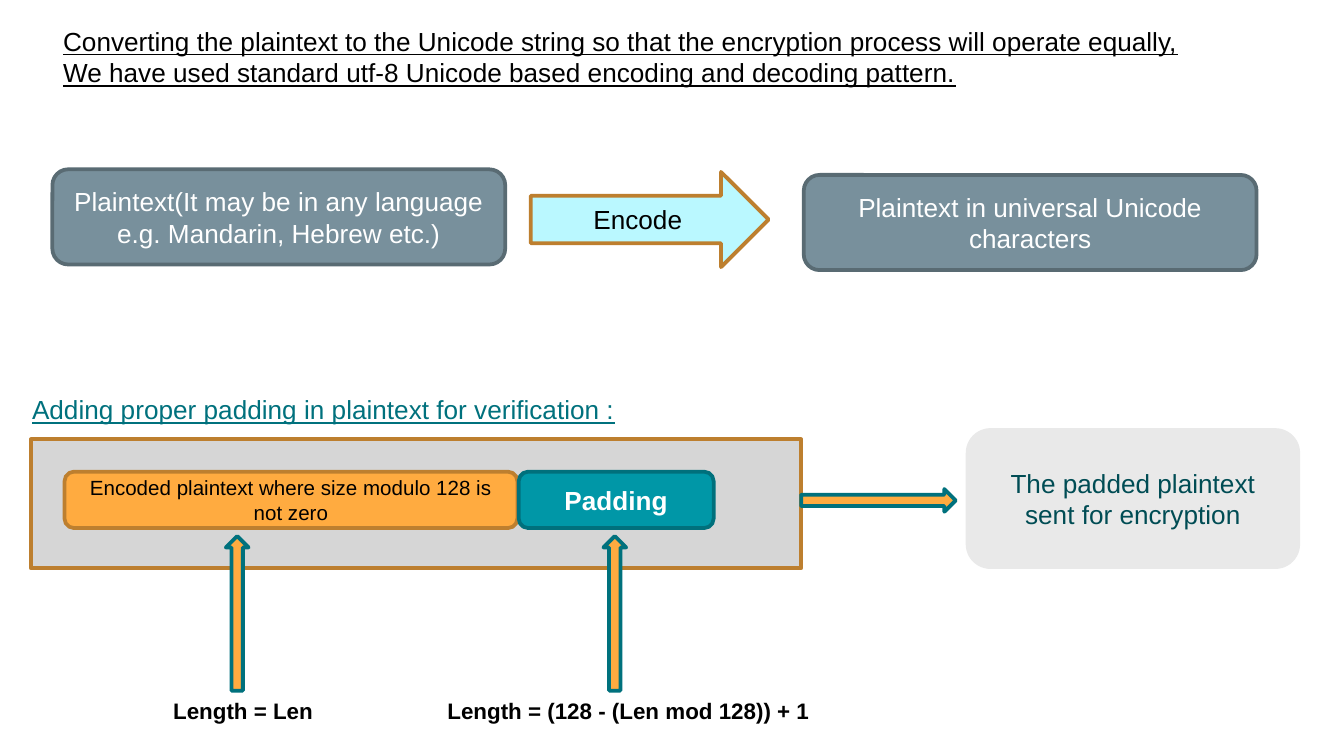
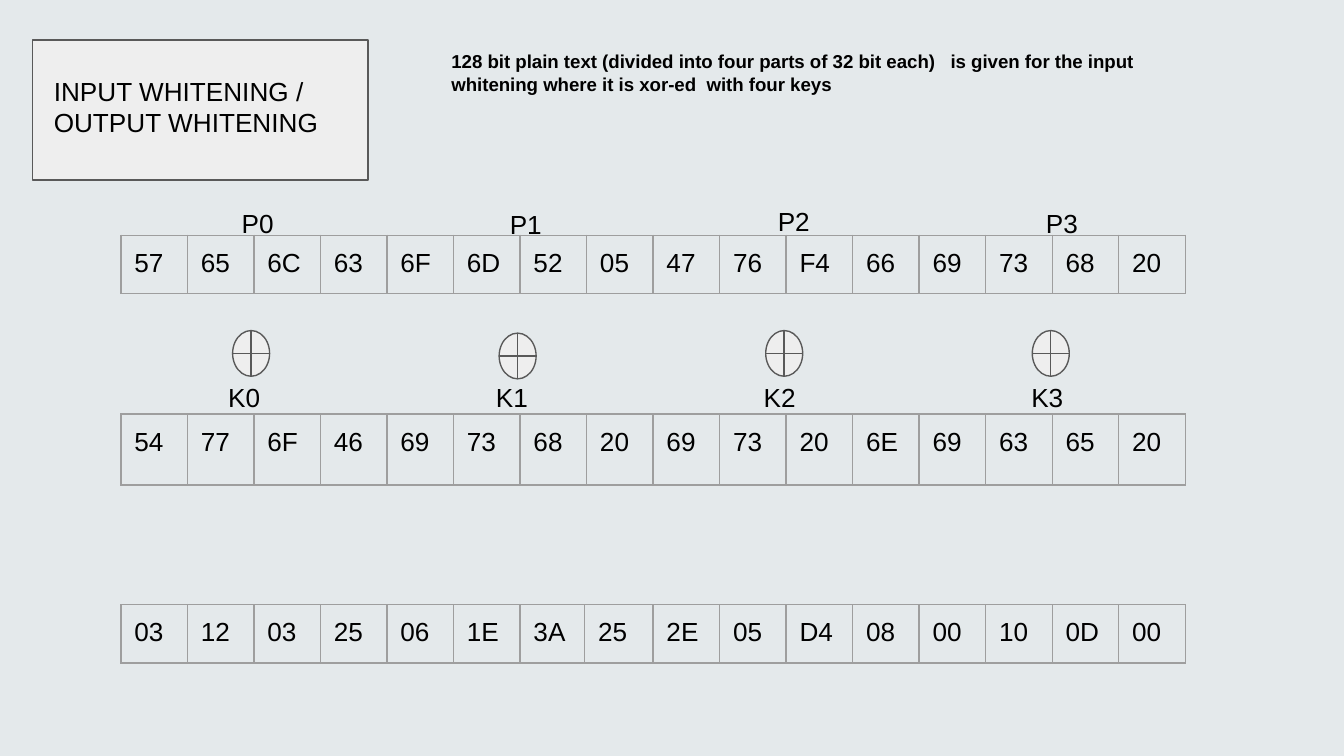
import pptx
import pptx.util
import pptx.dml.color
import pptx.enum.shapes
import pptx.enum.text
import pptx.oxml
import pptx.oxml.ns

Pt = pptx.util.Pt
RGB = pptx.dml.color.RGBColor
SHAPE = pptx.enum.shapes.MSO_SHAPE
ALIGN = pptx.enum.text.PP_ALIGN
ANCHOR = pptx.enum.text.MSO_ANCHOR

FONT = "Arial"
BLACK = RGB(0x00, 0x00, 0x00)
WHITE = RGB(0xFF, 0xFF, 0xFF)
MIST = RGB(0xE4, 0xE9, 0xEB)
PALE_GRAY = RGB(0xEE, 0xEE, 0xEE)
LIGHT_GRAY = RGB(0xE9, 0xE9, 0xE9)
SILVER = RGB(0xD6, 0xD6, 0xD6)
DARK_GRAY = RGB(0x59, 0x59, 0x59)
GRID_GRAY = RGB(0x9E, 0x9E, 0x9E)
SLATE = RGB(0x78, 0x90, 0x9C)
DARK_SLATE = RGB(0x59, 0x6B, 0x73)
ORANGE = RGB(0xFF, 0xAB, 0x40)
BROWN = RGB(0xBD, 0x7F, 0x2F)
ICE = RGB(0xBA, 0xF8, 0xFF)
TEAL = RGB(0x00, 0x97, 0xA7)
TEAL_EDGE = RGB(0x00, 0x70, 0x7C)
DEEP_TEAL = RGB(0x00, 0x71, 0x7D)
TEAL_INK = RGB(0x00, 0x4C, 0x54)

PLAIN_BYTES = "57 65 6C 63 6F 6D 52 05 47 76 F4 66 69 73 68 20".split()
KEY_BYTES = "54 77 6F 46 69 73 68 20 69 73 20 6E 69 63 65 20".split()
RESULT_BYTES = "03 12 03 25 06 1E 3A 25 2E 05 D4 08 00 10 0D 00".split()


def write(frame, lines, size=14, color=BLACK, bold=False, underline=False,
          align=ALIGN.LEFT, anchor=ANCHOR.TOP):
    """Fill a text frame with lines and format every run alike."""
    frame.text = "\n".join(lines)
    frame.word_wrap = True
    frame.vertical_anchor = anchor
    for paragraph in frame.paragraphs:
        paragraph.alignment = align
        for run in paragraph.runs:
            run.font.name = FONT
            run.font.size = Pt(size)
            run.font.bold = bold
            run.font.underline = underline
            run.font.color.rgb = color


def set_insets(frame, inset):
    """Give a text frame the same inset on all sides."""
    frame.margin_left = frame.margin_right = Pt(inset)
    frame.margin_top = frame.margin_bottom = Pt(inset)


def add_label(slide, box, text, inset=None, **style):
    """Place a text box in the given box."""
    frame = slide.shapes.add_textbox(*map(Pt, box)).text_frame
    write(frame, [text], **style)
    if inset is not None:
        set_insets(frame, inset)


def add_block(slide, kind, box, fill, edge, weight=2, text=None, **style):
    """Place a filled, outlined shape with optional centred text."""
    block = slide.shapes.add_shape(kind, *map(Pt, box))
    block.shadow.inherit = False
    block.fill.solid()
    block.fill.fore_color.rgb = fill
    block.line.color.rgb = edge
    block.line.width = Pt(weight)
    if text:
        write(block.text_frame, [text], align=ALIGN.CENTER,
              anchor=ANCHOR.MIDDLE, **style)
    return block


def add_slide(deck, background, title_box, title_lines, **style):
    """Add a slide with a background colour and a placed title."""
    slide = deck.slides.add_slide(deck.slide_layouts[5])
    slide.background.fill.solid()
    slide.background.fill.fore_color.rgb = background
    title = slide.shapes.title
    title.left, title.top, title.width, title.height = map(Pt, title_box)
    write(title.text_frame, title_lines, **style)
    title.text_frame.auto_size = pptx.enum.text.MSO_AUTO_SIZE.NONE
    return slide


def add_encoding(slide, left, top):
    """Draw the plaintext, encode arrow and Unicode row."""
    add_block(slide, SHAPE.ROUNDED_RECTANGLE, (left, top, 242.6, 51), SLATE, DARK_SLATE,
              text="Plaintext(It may be in any language e.g. Mandarin, Hebrew etc.)",
              color=WHITE)
    add_block(slide, SHAPE.RIGHT_ARROW, (left + 256.3, top + 1.4, 127.4, 51), ICE, BROWN,
              text="Encode")
    add_block(slide, SHAPE.ROUNDED_RECTANGLE, (left + 402.5, top + 3, 242.6, 51),
              SLATE, DARK_SLATE, text="Plaintext in universal Unicode characters",
              color=WHITE)


def add_pointer(slide, left, top, rotation=0):
    """Draw a thin orange arrow, turned about its centre."""
    pointer = add_block(slide, SHAPE.RIGHT_ARROW, (left, top, 82.8, 12.2), ORANGE, DEEP_TEAL)
    pointer.rotation = rotation


def add_padding(slide, left, top):
    """Draw the padded message, its lengths and the outcome."""
    add_block(slide, SHAPE.RECTANGLE, (left, top, 412.6, 69.1), SILVER, BROWN)
    add_label(slide, (left - 6.5, top - 28, 391, 24.5),
              "Adding proper padding in plaintext for verification :",
              color=DEEP_TEAL, underline=True)
    add_block(slide, SHAPE.ROUNDED_RECTANGLE, (left + 18, top + 17.3, 242.6, 30.2),
              ORANGE, BROWN, text="Encoded plaintext where size modulo 128 is not zero",
              size=11)
    add_block(slide, SHAPE.ROUNDED_RECTANGLE, (left + 261.3, top + 17.3, 104.4, 30.2),
              TEAL, TEAL_EDGE, text="Padding", color=WHITE, bold=True)
    lengths = [(69.1, 69.1, 91.4, "Length = Len"),
               (271.4, 216, 221, "Length = (128 - (Len mod 128)) + 1")]
    for pointer_x, label_x, width, text in lengths:
        add_pointer(slide, left + pointer_x, top + 87.1, 270)
        add_label(slide, (left + label_x, top + 134.6, width, 21.6), text, size=12, bold=True)
    add_pointer(slide, left + 412.6, top + 26.6)
    add_block(slide, SHAPE.ROUNDED_RECTANGLE, (left + 501.8, top - 5, 177.1, 73.4),
              LIGHT_GRAY, LIGHT_GRAY, text="The padded plaintext sent for encryption",
              color=TEAL_INK)


def add_cell_borders(cell):
    """Outline a cell with the thin grid line."""
    properties = cell._tc.get_or_add_tcPr()
    for side in ("lnL", "lnR", "lnT", "lnB"):
        properties.append(pptx.oxml.parse_xml(
            f'<a:{side} {pptx.oxml.ns.nsdecls("a")} w="{Pt(0.75)}"><a:solidFill>'
            f'<a:srgbClr val="{GRID_GRAY}"/></a:solidFill></a:{side}>'))


def add_byte_row(slide, box, values):
    """Draw a one-row table of hexadecimal bytes."""
    byte_table = slide.shapes.add_table(1, len(values), *map(Pt, box)).table
    byte_table.first_row = byte_table.horz_banding = False
    for column, value in enumerate(values):
        byte_table.columns[column].width = Pt(box[2] / len(values))
        cell = byte_table.cell(0, column)
        write(cell.text_frame, [value])
        set_insets(cell, 7.2)
        add_cell_borders(cell)
        cell.fill.background()
    return byte_table


def add_whitening(slide, left, top):
    """Draw the plaintext, key and result rows with labels and XOR marks."""
    width = 570.24
    add_byte_row(slide, (left, top, width, 31), PLAIN_BYTES)
    add_byte_row(slide, (left, top + 95.8, width, 38), KEY_BYTES)
    results = add_byte_row(slide, (left, top + 198, width, 31), RESULT_BYTES)
    results.columns[6].width -= Pt(1)
    results.columns[7].width += Pt(1)
    part_labels = [(22.3, 54.7, 18), (21.6, 39.6, 18), (23, 33.1, 24.5), (22.3, 36, 18)]
    for part, (rise, label_width, height) in enumerate(part_labels):
        add_label(slide, (left + 57.6 + 143.6 * part, top - rise, label_width, height),
                  f"P{part}", inset=7.2)
        drop = 1.4 if part == 1 else 0
        add_block(slide, SHAPE.FLOWCHART_OR,
                  (left + 59.8 + 142.8 * part, top + 51.1 + drop, 19.8, 24.5),
                  PALE_GRAY, DARK_GRAY, 0.75)
        add_label(slide, (left + 50.4 + 143.4 * part, top + 71.3, 36, 24.5),
                  f"K{part}", inset=7.2)


def build_encoding_slide(deck):
    """Build the slide on encoding and padding."""
    slide = add_slide(
        deck, WHITE, (26.6, 10, 665.3, 41),
        ["Converting the plaintext to the Unicode string so that the encryption "
         "process will operate equally,",
         "We have used standard utf-8 Unicode based encoding and decoding pattern."],
        underline=True)
    add_padding(slide, 16.6, 235.4)
    add_encoding(slide, 28.1, 90.7)


def build_whitening_slide(deck):
    """Build the slide on input and output whitening."""
    slide = add_slide(deck, MIST, (21.6, 33.1, 169.9, 53.3),
                      ["INPUT WHITENING /", "OUTPUT WHITENING"])
    title = slide.shapes.title
    set_insets(title.text_frame, 7.2)
    panel = add_block(slide, SHAPE.RECTANGLE, (17.3, 21.4, 180, 75), PALE_GRAY, DARK_GRAY, 0.75)
    title.element.addprevious(panel.element)
    add_label(slide, (234.7, 19.6, 418.3, 38.2),
              "128 bit plain text (divided into four parts of 32 bit each)   is given "
              "for the input whitening where it is xor-ed  with four keys",
              inset=7.2, size=10, bold=True)
    add_whitening(slide, 64.8, 126)


def main():
    """Build and save the presentation."""
    deck = pptx.Presentation()
    deck.slide_width, deck.slide_height = Pt(720), Pt(405)
    build_encoding_slide(deck)
    build_whitening_slide(deck)
    deck.save("out.pptx")


main()
